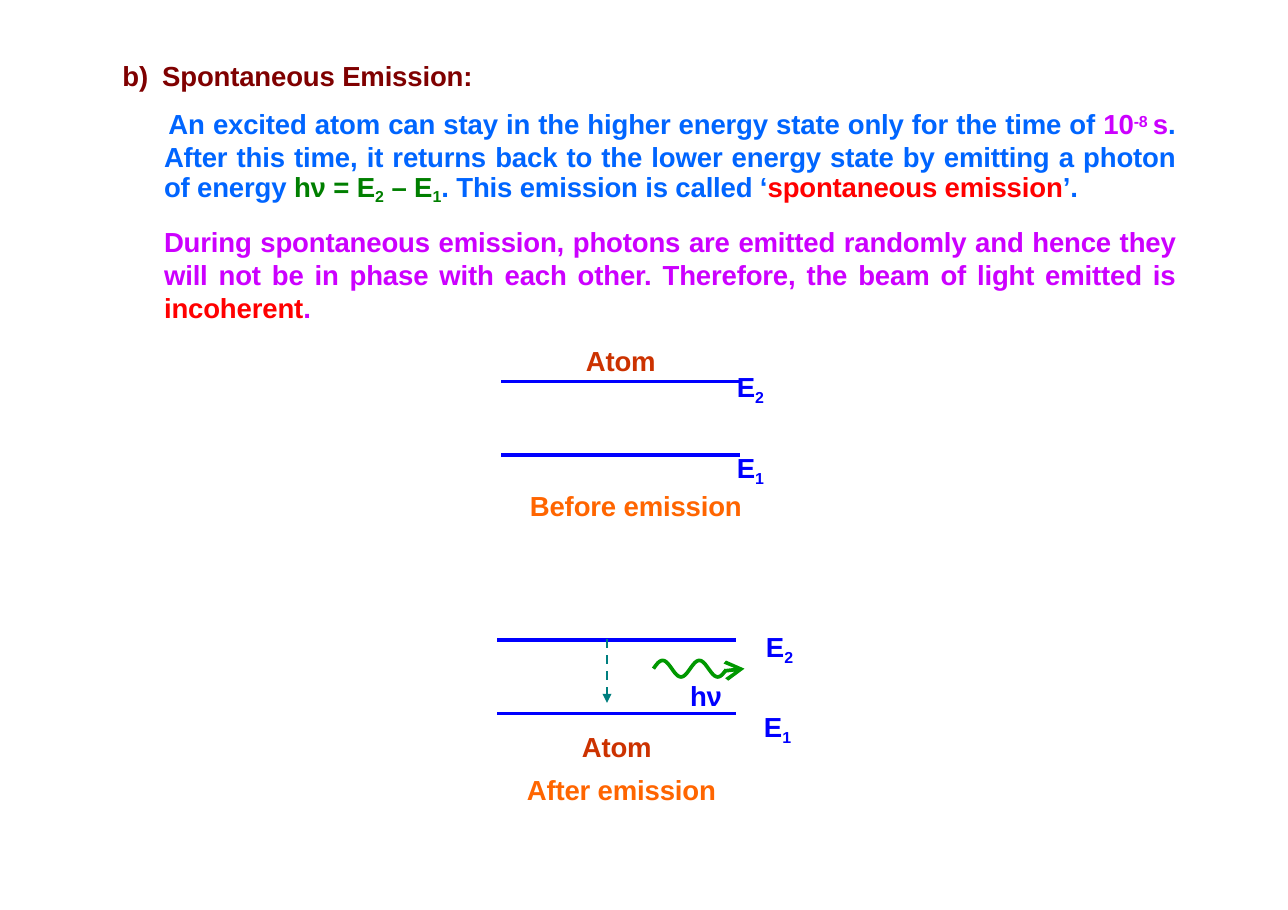
from dataclasses import dataclass
from math import pi, sin

from lxml.etree import SubElement
from pptx import Presentation
from pptx.dml.color import RGBColor
from pptx.enum.dml import MSO_LINE_DASH_STYLE as Dash
from pptx.enum.shapes import MSO_CONNECTOR as Connector
from pptx.enum.text import MSO_ANCHOR as Anchor, MSO_AUTO_SIZE as AutoSize, PP_ALIGN as Align
from pptx.oxml.ns import qn
from pptx.util import Pt


@dataclass(frozen=True)
class Theme:
    font: str = "Arial"
    size: float = 18
    leading: float = 21.6
    maroon: str = "7F0000"
    sky: str = "0065FF"
    violet: str = "CC00FF"
    formula: str = "007F00"
    red: str = "FF0000"
    atom: str = "CC3200"
    level: str = "0000FF"
    caption: str = "FF6500"
    photon: str = "009800"
    transition: str = "007F7F"


THEME = Theme()
SUPERSCRIPT, SUBSCRIPT = 25000, -21000
LEVEL_WIDTH, LEVEL_GAP = 156.2, 47.8


def add_runs(paragraph, runs):
    """Add (text, colour[, baseline shift]) runs."""
    for text, color, *shift in runs:
        run = paragraph.add_run()
        run.text = text
        formats = {"name": THEME.font, "size": Pt(THEME.size), "bold": True}
        for name, value in formats.items():
            setattr(run.font, name, value)
        run.font.color.rgb = RGBColor.from_string(color)
        properties = run._r.get_or_add_rPr()
        properties.set("spc", "-10")
        if shift:
            properties.set("baseline", str(shift[0]))


def format_frame(frame):
    formats = {"margin_left": 0, "margin_right": 0, "margin_top": 0, "margin_bottom": 0,
               "word_wrap": True, "auto_size": AutoSize.NONE, "vertical_anchor": Anchor.TOP}
    for name, value in formats.items():
        setattr(frame, name, value)


def set_title(slide, left, top, width, height, number, text, indent):
    title = slide.shapes.title
    box = {"left": left, "top": top, "width": width, "height": height}
    for name, value in box.items():
        setattr(title, name, Pt(value))
    format_frame(title.text_frame)
    paragraph = title.text_frame.paragraphs[0]
    paragraph.alignment = Align.LEFT
    properties = paragraph._p.get_or_add_pPr()
    properties.set("marL", str(Pt(indent)))
    properties.set("indent", str(-Pt(indent)))
    add_runs(paragraph, [(f"{number}\t{text}", THEME.maroon)])


def add_text(slide, left, top, width, height):
    box = slide.shapes.add_textbox(Pt(left), Pt(top), Pt(width), Pt(height))
    format_frame(box.text_frame)
    return box.text_frame


def add_label(slide, left, top, *runs):
    add_runs(add_text(slide, left, top, 160, 22).paragraphs[0], runs)


def add_body(slide, left, top, width, height, paragraphs):
    """Add justified paragraphs given as (first-line indent, space before, runs)."""
    frame = add_text(slide, left, top, width, height)
    for index, (indent, space, runs) in enumerate(paragraphs):
        paragraph = frame.add_paragraph() if index else frame.paragraphs[0]
        paragraph.alignment = Align.JUSTIFY
        paragraph.line_spacing = Pt(THEME.leading)
        paragraph.space_before = Pt(space)
        paragraph._p.get_or_add_pPr().set("indent", str(Pt(indent)))
        add_runs(paragraph, runs)


def format_line(line, color, width):
    line.color.rgb = RGBColor.from_string(color)
    line.width = Pt(width)


def add_arrowhead(line, kind, size):
    SubElement(line._get_or_add_ln(), qn("a:tailEnd"), type=kind, w=size, len=size)


def add_line(slide, x1, y1, x2, y2, color, width):
    line = slide.shapes.add_connector(Connector.STRAIGHT, Pt(x1), Pt(y1), Pt(x2), Pt(y2))
    format_line(line.line, color, width)
    SubElement(line._element.spPr, qn("a:effectLst"))
    return line


def add_levels(slide, left, top):
    for y in (top, top + LEVEL_GAP):
        add_line(slide, left, y, left + LEVEL_WIDTH, y, THEME.level, 2.4)


def add_transition(slide, x, top, bottom):
    arrow = add_line(slide, x, top, x, bottom, THEME.transition, 1.5)
    arrow.line.dash_style = Dash.DASH
    add_arrowhead(arrow.line, "triangle", "med")


def add_photon(slide, left, middle, wavelength, amplitude, cycles, tail):
    """Draw a sine wave that ends in a straight arrow."""
    steps = 24 * cycles
    points = [(Pt(left + wavelength * step / 24),
               Pt(middle - amplitude * sin(2 * pi * step / 24)))
              for step in range(steps + 1)]
    points.append((Pt(left + wavelength * cycles + tail), Pt(middle)))
    builder = slide.shapes.build_freeform(*points[0])
    builder.add_line_segments(points[1:], close=False)
    wave = builder.convert_to_shape()
    wave.shadow.inherit = False
    wave.fill.background()
    format_line(wave.line, THEME.photon, 2.4)
    add_arrowhead(wave.line, "arrow", "lg")


def main():
    presentation = Presentation()
    presentation.slide_width, presentation.slide_height = Pt(841.68), Pt(594.72)
    slide = presentation.slides.add_slide(presentation.slide_layouts[5])

    set_title(slide, 80, 38.6, 680, 24, "b)", "Spontaneous Emission:", 26)
    add_body(slide, 107.2, 69.8, 661, 145, [
        (2.9, 0, [
            ("An excited atom can stay in the higher energy state only for the time of ", THEME.sky),
            ("10", THEME.violet), ("-8 ", THEME.violet, SUPERSCRIPT), ("s", THEME.violet),
            (". After this time, it returns back to the lower energy state by emitting"
             " a photon of energy ", THEME.sky),
            ("hν = E", THEME.formula), ("2", THEME.formula, SUBSCRIPT),
            (" – E", THEME.formula), ("1", THEME.formula, SUBSCRIPT),
            (". This emission is called ‘", THEME.sky),
            ("spontaneous emission", THEME.red), ("’.", THEME.sky)]),
        (-2.2, 12.4, [
            ("During spontaneous emission, photons are emitted randomly and hence they will not"
             " be in phase with each other. Therefore, the beam of light emitted is ", THEME.violet),
            ("incoherent", THEME.red), (".", THEME.violet)]),
    ])

    upper = ("E", THEME.level), ("2", THEME.level, SUBSCRIPT)
    lower = ("E", THEME.level), ("1", THEME.level, SUBSCRIPT)
    atom = ("Atom", THEME.atom)

    add_levels(slide, 327.6, 249.4)
    add_label(slide, 382.9, 224.8, atom)
    add_label(slide, 481.5, 242.1, *upper)
    add_label(slide, 481.5, 294.7, *lower)
    add_label(slide, 346.3, 319.5, ("Before emission", THEME.caption))

    add_levels(slide, 324.8, 418.5)
    add_transition(slide, 396.7, 417.6, 459.4)
    add_photon(slide, 427, 437, 24, 5.4, 2, 11.5)
    add_label(slide, 500.5, 411.7, *upper)
    add_label(slide, 451, 443.7, ("hν", THEME.level))
    add_label(slide, 499.2, 463.9, *lower)
    add_label(slide, 380.3, 477, atom)
    add_label(slide, 344.3, 505.1, ("After emission", THEME.caption))

    presentation.save("out.pptx")


if __name__ == "__main__":
    main()
